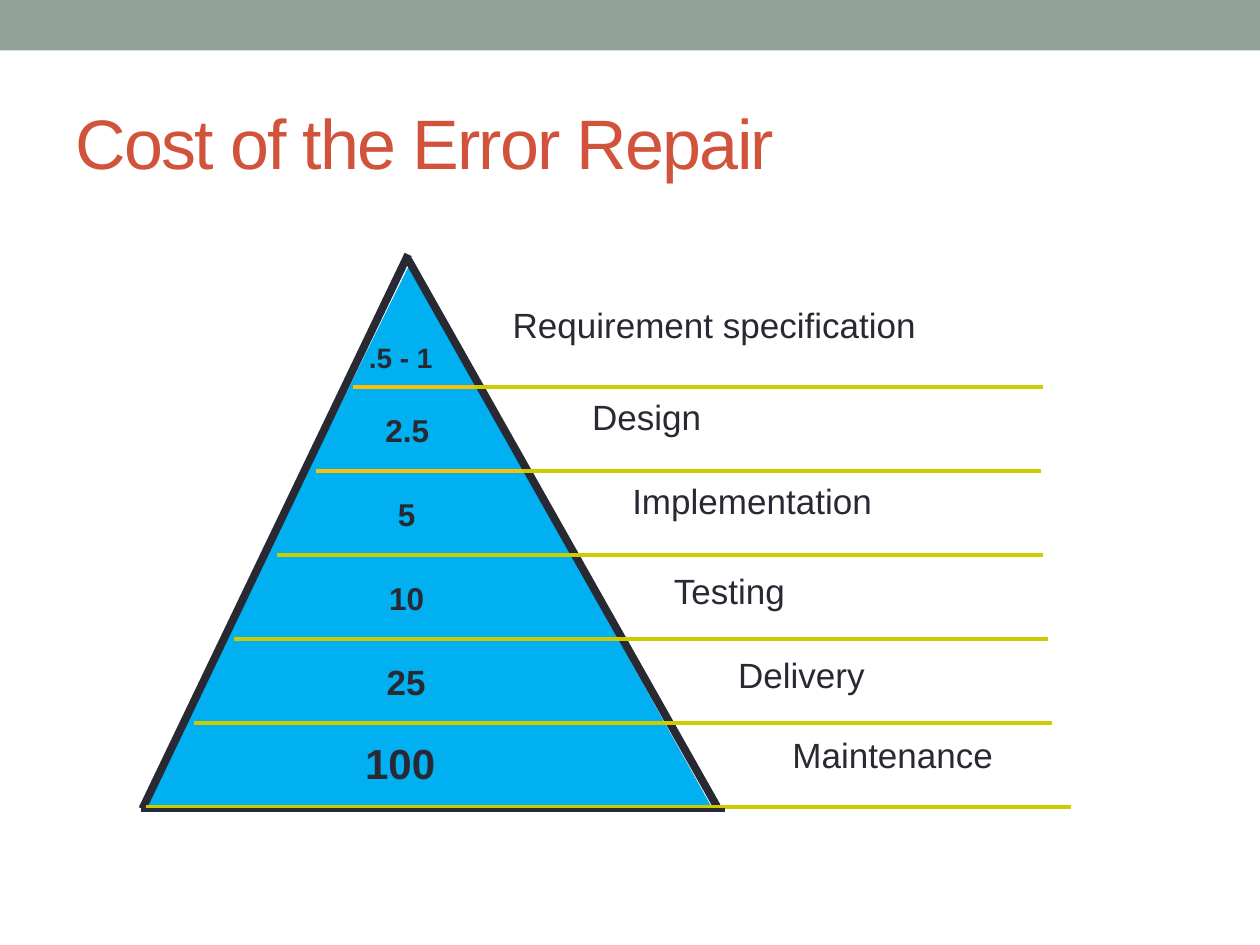
from collections import namedtuple

from lxml import etree
from pptx import Presentation
from pptx.dml.color import RGBColor
from pptx.enum.shapes import MSO_CONNECTOR, MSO_SHAPE
from pptx.enum.text import MSO_ANCHOR, MSO_AUTO_SIZE, PP_ALIGN
from pptx.oxml.ns import qn
from pptx.util import Inches, Pt

STRAIGHT = MSO_CONNECTOR.STRAIGHT
RECTANGLE = MSO_SHAPE.RECTANGLE
TRIANGLE = MSO_SHAPE.ISOSCELES_TRIANGLE
LEFT = PP_ALIGN.LEFT
TOP = MSO_ANCHOR.TOP
MIDDLE = MSO_ANCHOR.MIDDLE
NO_AUTOFIT = MSO_AUTO_SIZE.NONE

SAGE = RGBColor(0x93, 0xA2, 0x99)
RUST = RGBColor(0xD2, 0x53, 0x3C)
BLUE = RGBColor(0x00, 0xB0, 0xF0)
INK = RGBColor(0x29, 0x29, 0x34)
OLIVE = RGBColor(0xCC, 0xCC, 0x00)
AMBER = RGBColor(0xFF, 0xC0, 0x00)
FONT = "Arial"
TIER_STEP = 2 / 3
FIRST_DIVIDER = 1.05

Box = namedtuple("Box", "left top width height")

# Boxes and divider ends are in inches from the top left of the pyramid.
Phase = namedtuple("Phase", "cost cost_size cost_box name name_box divider")
PHASES = [
    Phase(".5 - 1", 16, Box(1.7, 0.63, 1.32, 0.49),
          "Requirement specification", Box(2.84, 0.34, 4.32, 0.59), (2.12, 7.15)),
    Phase("2.5", 18, Box(1.83, 1.19, 0.95, 0.54),
          "Design", Box(3.47, 1.07, 1.22, 0.59), (1.76, 7.13)),
    Phase("5", 18, Box(1.93, 1.86, 0.6, 0.54),
          "Implementation", Box(3.79, 1.74, 2.67, 0.59), (1.07, 7.15)),
    Phase("10", 18, Box(1.86, 2.53, 0.83, 0.54),
          "Testing", Box(4.12, 2.45, 1.38, 0.59), (0.73, 7.19)),
    Phase("25", 20, Box(1.84, 3.17, 0.83, 0.59),
          "Delivery", Box(4.63, 3.12, 1.54, 0.59), (0.41, 7.22)),
    Phase("100", 24, Box(1.67, 3.78, 1.1, 0.68),
          "Maintenance", Box(5.06, 3.75, 2.28, 0.59), (0.03, 7.37)),
]
AMBER_DIVIDERS = [(1.67, 2.64), (1.38, 3.01)]


def in_inches(box):
    return [Inches(length) for length in box]


def offset(frame, box):
    """Place a box given relative to the frame on the page."""
    return Box(frame.left + box.left, frame.top + box.top, box.width, box.height)


def add_filled(page, kind, box, color):
    shape = page.shapes.add_shape(kind, *in_inches(box))
    shape.shadow.inherit = False
    shape.fill.solid()
    shape.fill.fore_color.rgb = color
    shape.line.fill.background()
    return shape


def add_line(page, frame, start, end, color, weight):
    """Draw a line between two points given relative to the frame."""
    points = [Inches(origin + length) for point in (start, end)
              for origin, length in zip(frame[:2], point)]
    line = page.shapes.add_connector(STRAIGHT, *points)
    line.line.color.rgb = color
    line.line.width = Pt(weight)
    etree.SubElement(line._element.spPr, qn("a:effectLst"))


def add_label(page, box, text, size, bold=False):
    label = page.shapes.add_textbox(*in_inches(box))
    label.text_frame.word_wrap = True
    label.text_frame.vertical_anchor = TOP
    para = label.text_frame.paragraphs[0]
    para.text = text
    para.font.name = FONT
    para.font.size = Pt(size)
    para.font.bold = bold
    para.font.color.rgb = INK


def fill_title(page, box, text):
    title = page.shapes.title
    title.left, title.top, title.width, title.height = in_inches(box)
    frame = title.text_frame
    frame.auto_size = NO_AUTOFIT
    frame.vertical_anchor = MIDDLE
    para = frame.paragraphs[0]
    para.text = text
    para.alignment = LEFT
    para.font.name = FONT
    para.font.size = Pt(40)
    para.font.color.rgb = RUST
    para.runs[0].font._element.set("spc", "-100")


def add_cost_pyramid(page, frame):
    """Draw the pyramid of repair costs with a named tier for each phase."""
    triangle_box = offset(frame, Box(0, 0.08, 4.52, 4.31))
    triangle = add_filled(page, TRIANGLE, triangle_box, BLUE)
    triangle.adjustments[0] = 0.469
    add_line(page, frame, (2.11, 0.04), (4.56, 4.38), INK, 4.5)
    add_line(page, frame, (0, 4.4), (2.11, 0), INK, 4.5)

    for phase in PHASES:
        add_label(page, offset(frame, phase.cost_box), phase.cost, phase.cost_size, bold=True)
        add_label(page, offset(frame, phase.name_box), phase.name, 20)

    dividers = [[phase.divider for phase in PHASES], AMBER_DIVIDERS]
    for ends, color in zip(dividers, (OLIVE, AMBER)):
        for tier, (start, end) in enumerate(ends):
            y = FIRST_DIVIDER + tier * TIER_STEP
            add_line(page, frame, (start, y), (end, y), color, 2)
    add_line(page, frame, (-0.01, 4.41), (4.62, 4.41), INK, 2)


def main():
    deck = Presentation()
    deck.slide_width, deck.slide_height = Inches(10), Inches(7.5)
    page = deck.slides.add_slide(deck.slide_layouts.get_by_name("Title Only"))
    add_filled(page, RECTANGLE, Box(0, 0, 10, 0.4), SAGE)
    fill_title(page, Box(0.5, 0.58, 9, 1.08), "Cost of the Error Repair")
    add_cost_pyramid(page, Box(1.13, 2.02, 7.37, 4.41))
    deck.save("out.pptx")


if __name__ == "__main__":
    main()
